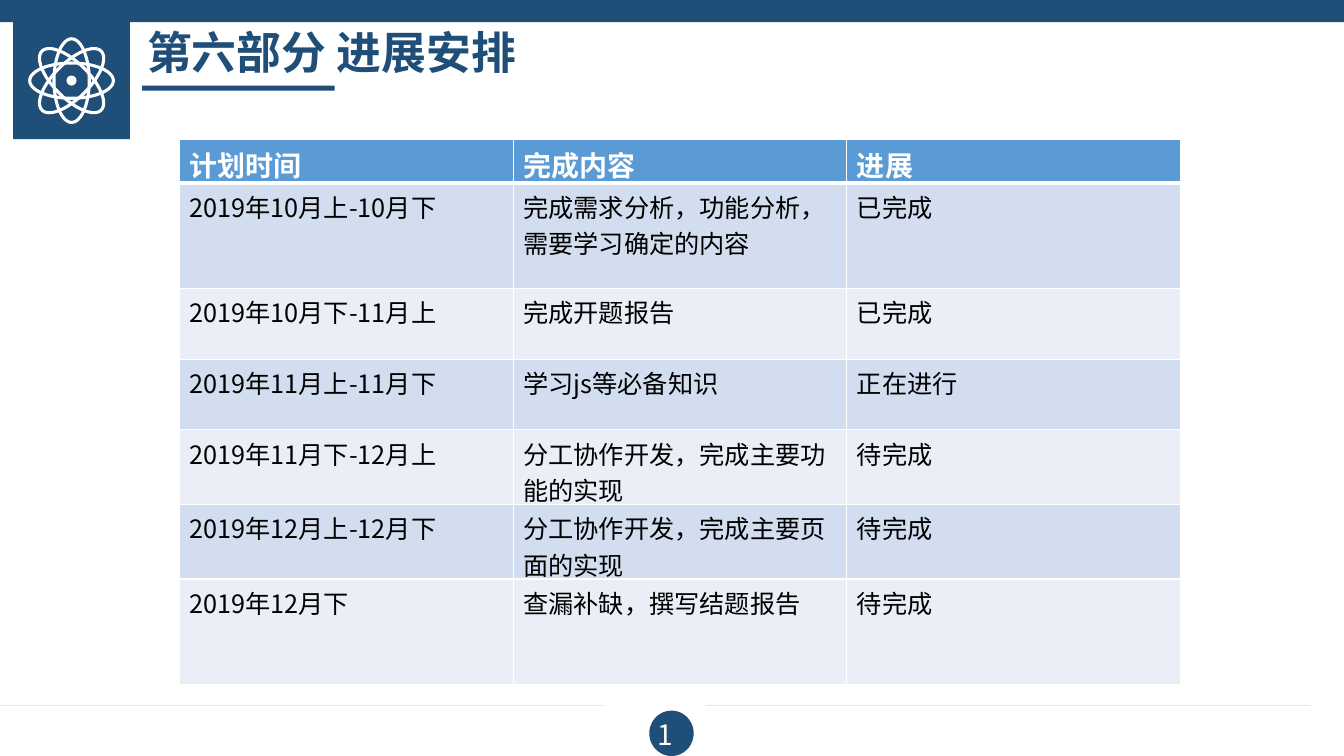
from lxml import etree
from pptx import Presentation, util as u
from pptx.dml.color import RGBColor
from pptx.enum import shapes, text
from pptx.oxml import ns

NAVY, WHITE, BLACK = "1F4E79", "FFFFFF", "000000"
HEADER_FILL, BANDS = "5B9BD5", ("D2DEEF", "EAEFF7")
NOTO, CALIBRI = "Noto Sans CJK SC", "Calibri"

TITLE = "第六部分 进展安排"
PAGE = "1"
SCHEDULE = [
    ("计划时间", "完成内容", "进展"),
    ("2019年10月上-10月下", "完成需求分析，功能分析，需要学习确定的内容", "已完成"),
    ("2019年10月下-11月上", "完成开题报告", "已完成"),
    ("2019年11月上-11月下", "学习js等必备知识", "正在进行"),
    ("2019年11月下-12月上", "分工协作开发，完成主要功能的实现", "待完成"),
    ("2019年12月上-12月下", "分工协作开发，完成主要页面的实现", "待完成"),
    ("2019年12月下", "查漏补缺，撰写结题报告", "待完成"),
]
TABLE_AT = (1.78, 1.38)
COL_WIDTH = 3.31
ROW_HEIGHTS = (0.42, 1.05, 0.7, 0.7, 0.74, 0.74, 1.05)

TOP_BAR = (0, 0, 13.38, 0.22)
TITLE_RULE = (1.41, 0.85, 1.91, 0.05)
ICON_TILE = (0.13, 0.22, 1.16, 1.16)
PAGE_DISC = (6.44, 7.05, 0.44, 0.45)
FOOTER_BARS = [
    [(-0.02, 7.24), (6.38, 7.24), (6.37, 7.29), (6.38, 7.35), (6.4, 7.39), (-0.02, 7.39)],
    [(6.95, 7.24), (13.36, 7.24), (13.36, 7.39), (6.93, 7.39), (6.96, 7.35), (6.97, 7.29)],
]
ATOM_CENTER = (0.71, 0.8)
NUCLEUS = 0.1
ORBIT = (0.83, 0.35)
ORBIT_ANGLES = (0, 45, 90, 135)

RECT, OVAL = shapes.MSO_SHAPE.RECTANGLE, shapes.MSO_SHAPE.OVAL


def rgb(value):
    return RGBColor.from_string(value)


def paint(sp, fill=None, line=None, width=0):
    sp.shadow.inherit = False
    if fill:
        sp.fill.solid()
        sp.fill.fore_color.rgb = rgb(fill)
    else:
        sp.fill.background()
    if line:
        sp.line.color.rgb = rgb(line)
        sp.line.width = u.Pt(width)
    else:
        sp.line.fill.background()


def add_shape(parent, kind, box, **style):
    sp = parent.add_shape(kind, *map(u.Inches, box))
    paint(sp, **style)
    return sp


def centered(width, height):
    x, y = ATOM_CENTER
    return x - width / 2, y - height / 2, width, height


def write(p, value, color, size, bold=False, font=NOTO):
    r = p.add_run()
    r.text = value
    for name, setting in {"name": font, "size": u.Pt(size), "bold": bold}.items():
        setattr(r.font, name, setting)
    r.font.color.rgb = rgb(color)
    etree.SubElement(r.font._element, ns.qn("a:ea"), typeface=NOTO)
    return r


def add_text(box, value, size, bold, color):
    tf = slide.shapes.add_textbox(*map(u.Inches, box)).text_frame
    tf.word_wrap = False
    tf.auto_size = text.MSO_AUTO_SIZE.SHAPE_TO_FIT_TEXT
    return write(tf.paragraphs[0], value, color, size, bold)


def make_page_field(r):
    r._r.tag = ns.qn("a:fld")
    r._r.set("id", "{B6F15528-21DE-4FAA-801E-634DDDAF4B2B}")
    r._r.set("type", "slidenum")


def add_borders(cell, bottom):
    tc_pr = cell._tc.get_or_add_tcPr()
    widths = {"lnL": 1, "lnR": 1, "lnT": 1, "lnB": bottom}
    for i, (side, width) in enumerate(widths.items()):
        ln = etree.Element(ns.qn("a:" + side), w=str(u.Pt(width)))
        fill = etree.SubElement(ln, ns.qn("a:solidFill"))
        etree.SubElement(fill, ns.qn("a:srgbClr"), val=WHITE)
        tc_pr.insert(i, ln)


prs = Presentation()
prs.slide_width, prs.slide_height = u.Inches(13.33), u.Inches(7.5)
slide = prs.slides.add_slide(prs.slide_layouts[6])

add_shape(slide.shapes, RECT, TOP_BAR, fill=NAVY)
left_bar, right_bar = FOOTER_BARS
footer = slide.shapes.build_freeform(*left_bar[0], scale=u.Inches(1))
footer.add_line_segments(left_bar[1:], close=True)
footer.move_to(*right_bar[0])
footer.add_line_segments(right_bar[1:], close=True)
paint(footer.convert_to_shape(), fill=NAVY)
add_shape(slide.shapes, OVAL, PAGE_DISC, fill=NAVY)
make_page_field(add_text((6.42, 7.07, 0.37, 0.44), PAGE, 20, False, WHITE))
add_text((1.36, 0.2, 3.89, 0.64), TITLE, 32, True, NAVY)
add_shape(slide.shapes, RECT, TITLE_RULE, fill=NAVY)

atom = slide.shapes.add_group_shape().shapes
add_shape(atom, RECT, ICON_TILE, fill=NAVY)
add_shape(atom, OVAL, centered(NUCLEUS, NUCLEUS), fill=WHITE)
for angle in ORBIT_ANGLES:
    add_shape(atom, OVAL, centered(*ORBIT), line=WHITE, width=2.2).rotation = angle

rows, cols = len(SCHEDULE), len(SCHEDULE[0])
size = (COL_WIDTH * cols, sum(ROW_HEIGHTS))
table = slide.shapes.add_table(rows, cols, *map(u.Inches, TABLE_AT + size)).table
for col in table.columns:
    col.width = u.Inches(COL_WIDTH)
for i, (values, height) in enumerate(zip(SCHEDULE, ROW_HEIGHTS)):
    table.rows[i].height = u.Inches(height)
    header = i == 0
    for j, value in enumerate(values):
        cell = table.cell(i, j)
        cell.fill.solid()
        cell.fill.fore_color.rgb = rgb(HEADER_FILL if header else BANDS[(i - 1) % 2])
        add_borders(cell, 3 if header else 1)
        p = cell.text_frame.paragraphs[0]
        if header:
            write(p, value, WHITE, 20, True, CALIBRI)
        else:
            write(p, value, BLACK, 18)

prs.save("out.pptx")
